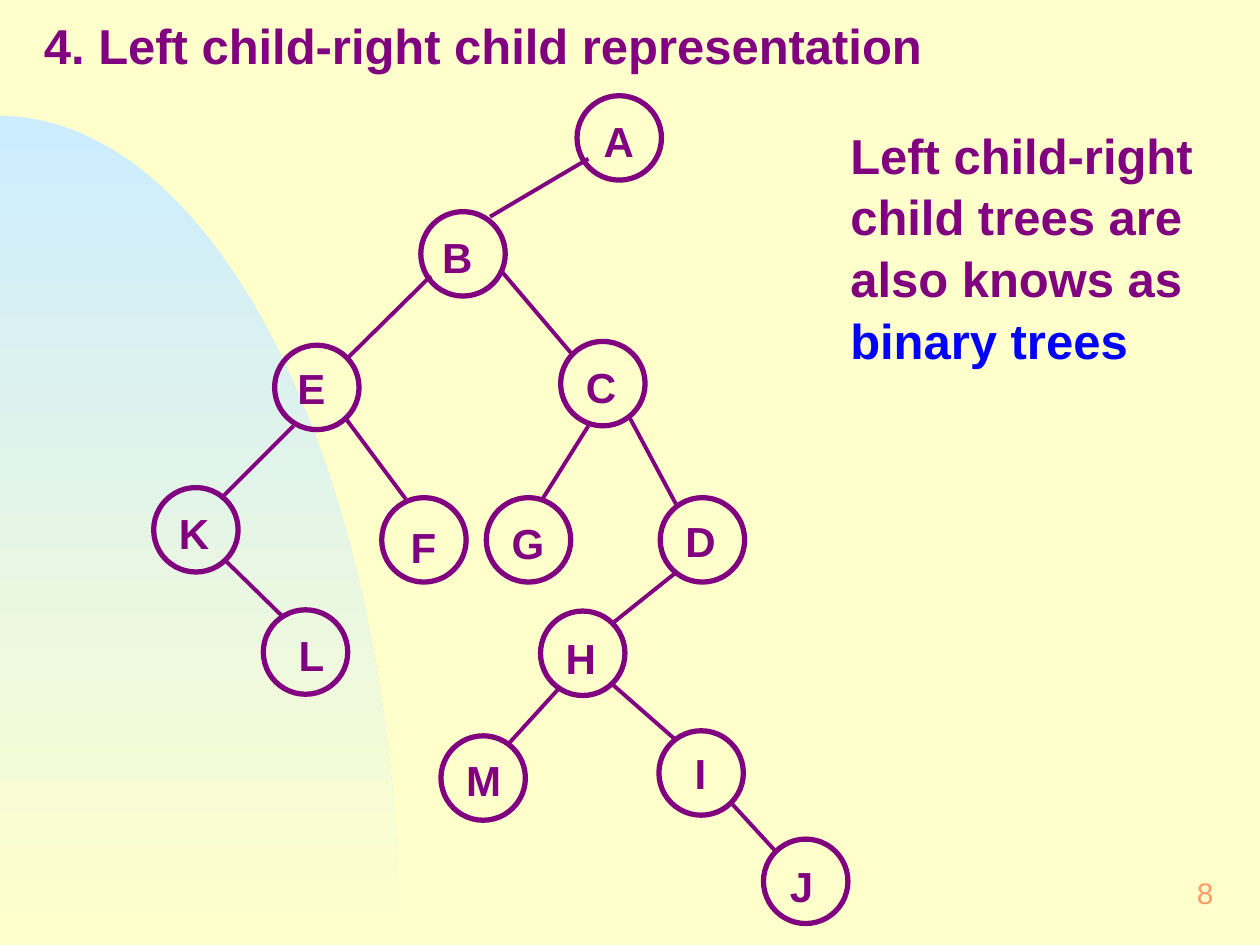
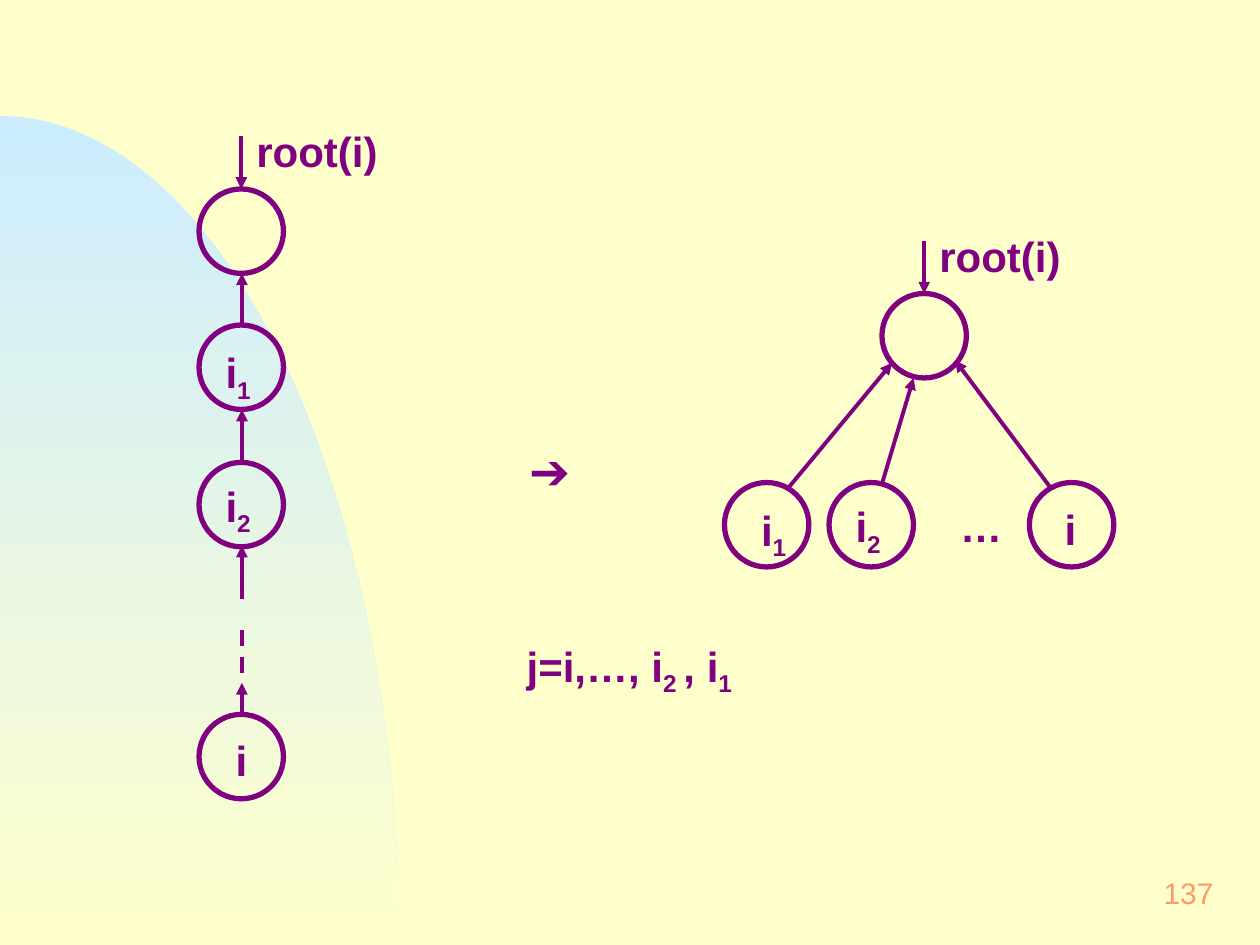
from math import cos, pi, sin

from lxml.etree import SubElement as Sub
from pptx import Presentation
from pptx.dml.color import RGBColor as Rgb
from pptx.enum.dml import MSO_LINE_DASH_STYLE as Dash
from pptx.enum.shapes import MSO_CONNECTOR as Conn, MSO_SHAPE as Kind
from pptx.enum.text import MSO_ANCHOR as Anchor, PP_ALIGN as Align
from pptx.oxml.ns import qn
from pptx.util import Cm, Pt

CREAM = Rgb(0xFF, 0xFF, 0xCC)
SKY = Rgb(0xCC, 0xEC, 0xFF)
PLUM = Rgb(0x80, 0x00, 0x80)
BLUE = Rgb(0x00, 0x00, 0xFF)
PEACH = Rgb(0xFF, 0x99, 0x66)

INCH = 2.54
SIZE = 0.67
HEAD = {"name": "Arial", "size": Pt(28), "bold": True}
NODE = {"name": "Arial", "size": Pt(24), "bold": True}
PAGE = {"name": "Arial", "size": Pt(17), "bold": False}
TIGHT = (0.1, 0.05)
LOOSE = (0.12, 0.06)

TREE = {
    "A": (4.58, 0.76, 0.09, 0.08),
    "B": (3.34, 1.68, 0.05, 0.08),
    "C": (4.45, 2.71, 0.08, 0.08),
    "D": (5.24, 3.95, 0.08, 0.06),
    "E": (2.18, 2.74, 0.06, 0.06),
    "F": (3.03, 3.95, 0.11, 0.11),
    "G": (3.86, 3.95, 0.08, 0.08),
    "H": (4.29, 4.85, 0.08, 0.09),
    "I": (5.23, 5.80, 0.08, 0.05),
    "J": (6.06, 6.66, 0.09, 0.09),
    "K": (1.22, 3.87, 0.08, 0.08),
    "L": (2.09, 4.84, 0.16, 0.08),
    "M": (3.50, 5.84, 0.08, 0.07),
}
EDGES = [
    (4.67, 1.26, 3.89, 1.72),
    (3.42, 2.19, 2.75, 2.85),
    (3.97, 2.14, 4.53, 2.80),
    (2.33, 3.38, 1.75, 3.96),
    (2.75, 3.33, 3.22, 3.96),
    (4.67, 3.38, 4.30, 3.97),
    (5.00, 3.32, 5.37, 4.01),
    (1.80, 4.46, 2.25, 4.90),
    (5.37, 4.54, 4.87, 4.94),
    (4.44, 5.46, 4.03, 5.91),
    (4.87, 5.44, 5.36, 5.87),
    (5.81, 6.38, 6.15, 6.75),
]


def cm(*nums):
    return [Cm(num * INCH) for num in nums]


def style(font, look, color):
    for key, val in look.items():
        setattr(font, key, val)
    font.color.rgb = color


def text(slide, box, runs, look=NODE, pad=LOOSE, align=Align.LEFT, anchor=Anchor.TOP):
    frame = slide.shapes.add_textbox(*cm(*box)).text_frame
    left, top = cm(*pad)
    form = {
        "word_wrap": True,
        "vertical_anchor": anchor,
        "margin_left": left,
        "margin_right": left,
        "margin_top": top,
        "margin_bottom": top,
    }
    for key, val in form.items():
        setattr(frame, key, val)
    para = frame.paragraphs[0]
    para.alignment = align
    para.line_spacing = 1.05
    for words, color, *sub in runs:
        run = para.add_run()
        run.text = words
        style(run.font, look, color)
        if sub:
            run.font._element.set("baseline", "-25000")


def index(num):
    return [("i", PLUM), (num, PLUM, True)]


def ring(slide, x, y):
    oval = slide.shapes.add_shape(Kind.OVAL, *cm(x, y, SIZE, SIZE))
    oval.shadow.inherit = False
    oval.fill.background()
    oval.line.color.rgb = PLUM
    oval.line.width = Pt(3)


def line(slide, ends, arrow=False, dash=None):
    link = slide.shapes.add_connector(Conn.STRAIGHT, *cm(*ends))
    link.line.color.rgb = PLUM
    link.line.width = Pt(2.25)
    if dash:
        link.line.dash_style = dash
    if arrow:
        Sub(link.line._get_or_add_ln(), qn("a:tailEnd"), type="triangle")
    Sub(link._element.spPr, qn("a:effectLst"))


def hill(slide):
    wide, high, base, steps = 3.17, 6.58, 7.5, 90
    turns = [pi / 2 * n / steps for n in range(steps + 1)]
    rim = [cm(wide * sin(t), base - high * cos(t)) for t in turns]
    pen = slide.shapes.build_freeform(*rim[0])
    pen.add_line_segments(rim[1:] + [cm(0, base)], close=True)
    shape = pen.convert_to_shape()
    shape.shadow.inherit = False
    shape.line.fill.background()
    shape.fill.gradient()
    shape.fill.gradient_angle = 270
    for stop, color, place in zip(shape.fill.gradient_stops, (SKY, CREAM), (0, 1)):
        stop.color.rgb = color
        stop.position = place


def start(deck, page):
    slide = deck.slides.add_slide(deck.slide_layouts[6])
    fill = slide.background.fill
    fill.solid()
    fill.fore_color.rgb = CREAM
    hill(slide)
    text(slide, (7.67, 6.83, 2.08, 0.5), [(page, PEACH)], PAGE,
         align=Align.RIGHT, anchor=Anchor.MIDDLE)
    return slide


def root(slide, x, y):
    ring(slide, x, y)
    mid = x + SIZE / 2
    line(slide, (mid, y - 0.42, mid, y), arrow=True)
    text(slide, (mid, y - 0.58, 1.33, 0.52), [("root(i)", PLUM)])


def binary(deck):
    slide = start(deck, "8")
    text(slide, (0.25, 0.05, 9.58, 0.57),
         [("4. Left child-right child representation", PLUM)], HEAD, TIGHT)
    for name, (x, y, right, down) in TREE.items():
        ring(slide, x, y)
        align = Align.CENTER if name == "I" else Align.LEFT
        text(slide, (x + right, y + down, 0.5, 0.52), [(name, PLUM)], align=align)
    for ends in EDGES:
        line(slide, ends)
    text(slide, (6.65, 0.92, 3.35, 1.97),
         [("Left child-right child trees are also knows as ", PLUM),
          ("binary trees", BLUE)], HEAD, TIGHT)


def chain(slide):
    x, mid = 1.58, 1.92
    root(slide, x, 1.5)
    for y in (2.58, 3.67, 5.67):
        ring(slide, x, y)
    for low, high in ((2.58, 2.17), (3.67, 3.25), (4.75, 4.33), (5.67, 5.42)):
        line(slide, (mid, low, mid, high), arrow=True)
    line(slide, (mid, 5, mid, 5.42), dash=Dash.DASH)
    text(slide, (1.67, 2.67, 0.83, 0.58), index("1"))
    text(slide, (1.67, 3.73, 0.83, 0.58), index("2"))
    text(slide, (1.75, 5.75, 0.67, 0.52), [("i", PLUM)])


def flat(slide):
    root(slide, 7, 2.33)
    for x in (5.75, 6.58, 8.17):
        ring(slide, x, 3.83)
    for ends in ((6.25, 3.88, 7.08, 2.88), (7, 3.84, 7.25, 3),
                 (8.33, 3.86, 7.58, 2.86)):
        line(slide, ends, arrow=True)
    text(slide, (5.92, 3.92, 0.83, 0.58), index("1"))
    text(slide, (6.67, 3.89, 0.83, 0.58), index("2"))
    text(slide, (7.5, 3.89, 0.58, 0.52), [("…", PLUM)])
    text(slide, (8.33, 3.92, 0.5, 0.52), [("i", PLUM)])


def merge(deck):
    slide = start(deck, "137")
    chain(slide)
    flat(slide)
    text(slide, (4.08, 3.41, 1.25, 0.59), [("➔", PLUM)], HEAD)
    text(slide, (4.06, 5, 2.5, 0.58),
         [("j=i,…, i", PLUM), ("2 ", PLUM, True), (", i", PLUM), ("1", PLUM, True)])


def main():
    deck = Presentation()
    deck.slide_width, deck.slide_height = cm(10, 7.5)
    binary(deck)
    merge(deck)
    deck.save("out.pptx")


if __name__ == "__main__":
    main()
